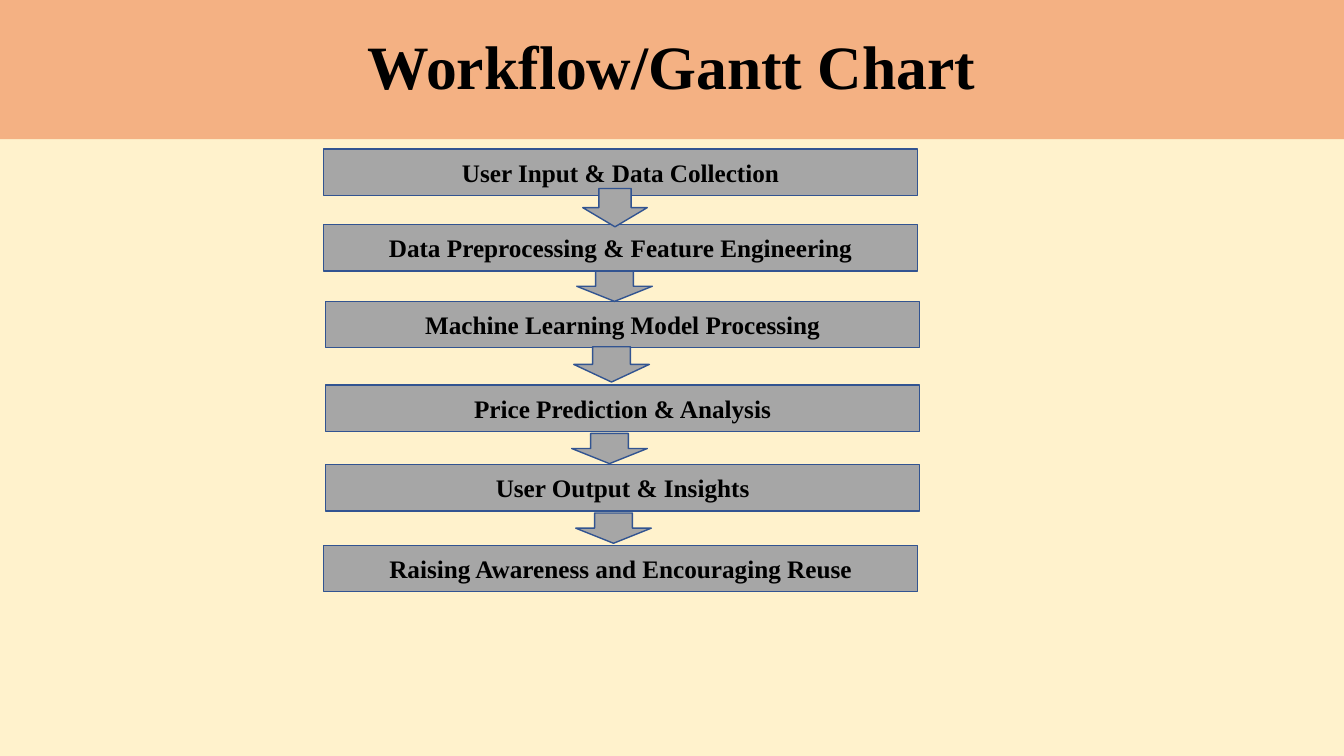
"""Build a slide showing a six-step workflow under a title band."""
import dataclasses
import typing

import pptx
import pptx.dml.color
import pptx.enum.shapes
import pptx.enum.text
import pptx.util

Inches = pptx.util.Inches
KINDS = pptx.enum.shapes.MSO_SHAPE
COLORS = {"back": "FFF2CC", "band": "F4B183", "step": "A6A6A6", "edge": "325491", "text": "000000"}
STEP_WIDTH, STEP_HEIGHT = 5.89, 0.46


@dataclasses.dataclass(frozen=True)
class Step:
    text: str
    left: float
    top: float


@dataclasses.dataclass(frozen=True)
class Arrow:
    left: float
    top: float
    width: float = 0.75
    height: float = 0.3


STEPS = [
    Step("User Input & Data Collection", 3.21, 1.48),
    Step("Data Preprocessing & Feature Engineering", 3.21, 2.23),
    Step("Machine Learning Model Processing", 3.23, 2.99),
    Step("Price Prediction & Analysis", 3.23, 3.82),
    Step("User Output & Insights", 3.23, 4.61),
    Step("Raising Awareness and Encouraging Reuse", 3.21, 5.41),
]
ARROWS = [
    Arrow(5.78, 1.87, 0.64, 0.38),
    Arrow(5.72, 2.69),
    Arrow(5.69, 3.44, height=0.35),
    Arrow(5.67, 4.3),
    Arrow(5.71, 5.09),
]


def shade(name: str) -> pptx.dml.color.RGBColor:
    return pptx.dml.color.RGBColor.from_string(COLORS[name])


def apply(target: typing.Any, values: dict[str, typing.Any]) -> None:
    for name, value in values.items():
        setattr(target, name, value)


def draw(slide: typing.Any, kind: typing.Any, box: tuple[float, ...], fill: str, edge: bool = True) -> typing.Any:
    shape = slide.shapes.add_shape(kind, *map(Inches, box))
    shape.shadow.inherit = False
    shape.fill.solid()
    shape.fill.fore_color.rgb = shade(fill)
    if edge:
        shape.line.color.rgb = shade("edge")
        shape.line.width = pptx.util.Pt(1)
    else:
        shape.line.fill.background()
    return shape


def write(shape: typing.Any, text: str, size: int, space: float = 1.0) -> None:
    frame = shape.text_frame
    apply(frame, {"word_wrap": True, "vertical_anchor": pptx.enum.text.MSO_ANCHOR.MIDDLE})
    line = frame.paragraphs[0]
    apply(line, {"alignment": pptx.enum.text.PP_ALIGN.CENTER, "line_spacing": space})
    run = line.add_run()
    run.text = text
    apply(run.font, {"name": "Times New Roman", "size": pptx.util.Pt(size), "bold": True})
    run.font.color.rgb = shade("text")


def main() -> None:
    deck = pptx.Presentation()
    apply(deck, {"slide_width": Inches(13.33), "slide_height": Inches(7.5)})
    slide = deck.slides.add_slide(deck.slide_layouts[6])
    slide.background.fill.solid()
    slide.background.fill.fore_color.rgb = shade("back")
    band = draw(slide, KINDS.RECTANGLE, (0, 0, 13.33, 1.38), "band", edge=False)
    write(band, "Workflow/Gantt Chart", 44, 0.9)
    for step in STEPS:
        box = (step.left, step.top, STEP_WIDTH, STEP_HEIGHT)
        write(draw(slide, KINDS.RECTANGLE, box, "step"), step.text, 18)
    for arrow in ARROWS:
        draw(slide, KINDS.DOWN_ARROW, dataclasses.astuple(arrow), "step")
    deck.save("out.pptx")


if __name__ == "__main__":
    main()
